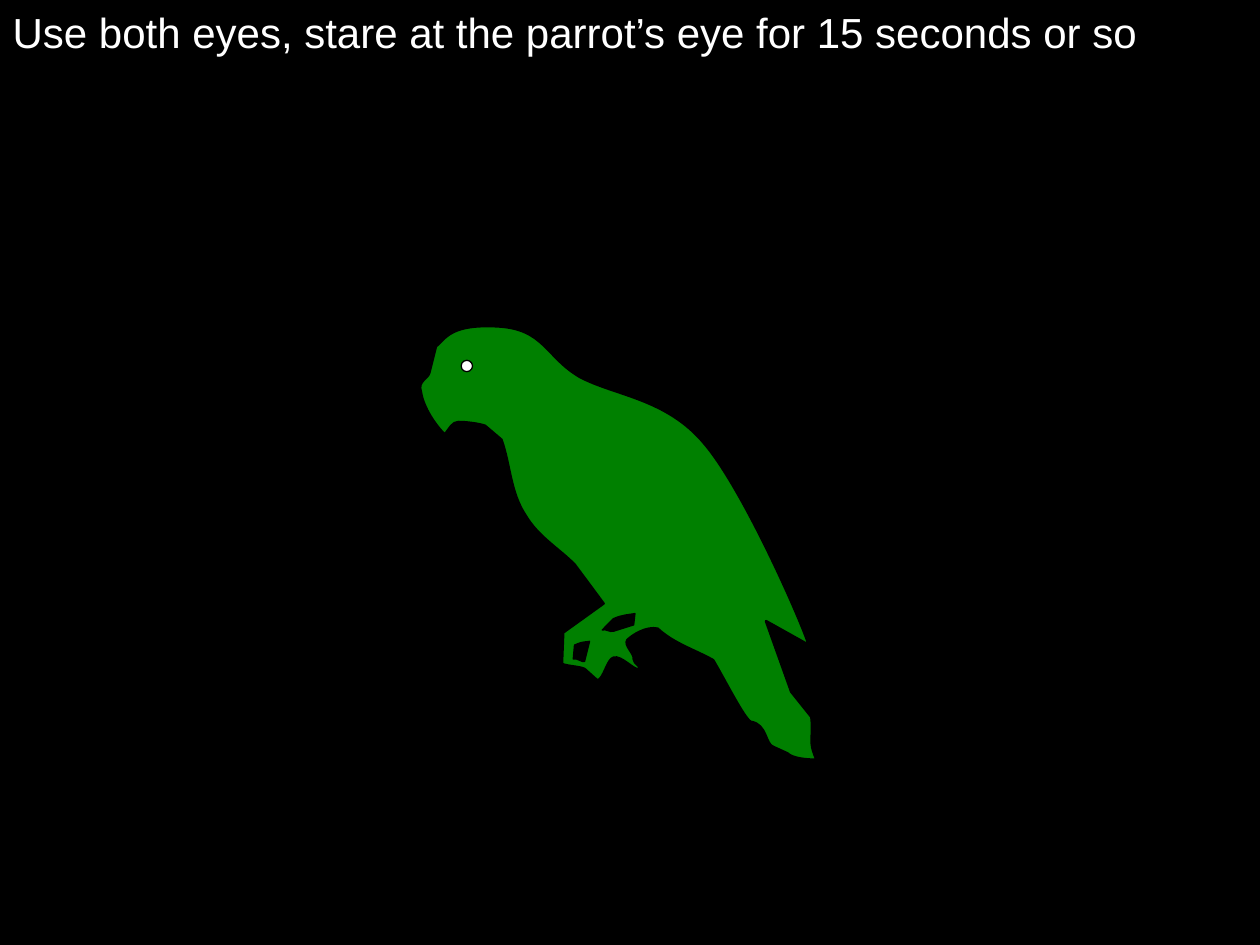
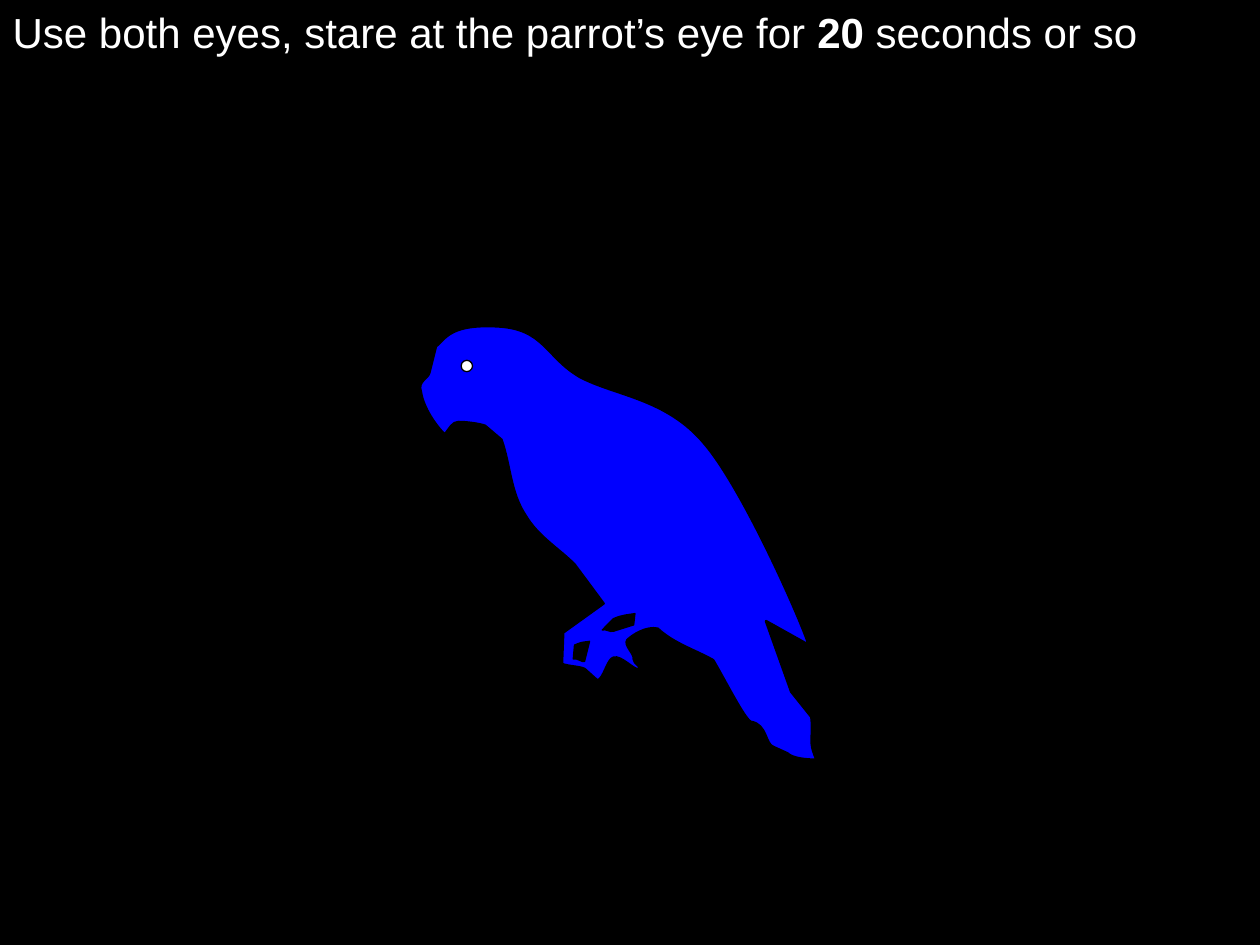
"""Build two afterimage slides, each with a parrot to stare at."""
from lxml import etree
from pptx import Presentation, util as u
from pptx.dml.color import RGBColor
from pptx.enum import shapes, text
from pptx.oxml.ns import qn

PX = 9144
COLOURS = {"night": "000000", "white": "FFFFFF", "green": "008000", "blue": "0000FF"}

BODY = [
    (385, 338), (398, 349), (405, 369, 405, 391, 417, 409),
    (427, 426, 443, 435, 456, 448), (479, 479), (447, 502), (446, 527),
    (451, 529, 460, 529, 464, 531), (474, 540),
    (479, 540, 482, 523, 487, 522), (493, 520, 504, 533, 507, 531),
    (510, 529, 503, 527, 503, 523), (504, 519, 495, 512, 498, 508),
    (502, 504, 513, 497, 522, 499), (535, 511, 552, 516, 566, 524),
    (576, 541, 591, 571, 596, 573), (609, 575, 607, 591, 614, 593),
    (625, 598), (629, 602, 640, 603, 648, 603),
    (641, 586, 646, 588, 644, 569), (628, 549), (608, 493), (642, 512),
    (634, 488, 589, 387, 559, 352), (529, 316, 488, 314, 460, 299),
    (433, 283, 432, 261, 395, 259), (358, 257, 354, 268, 346, 275),
    (341, 295), (340, 301, 331, 302, 334, 311),
    (336, 324, 346, 338, 353, 345), (357, 340, 359, 335, 364, 335),
    (369, 335, 379, 336, 385, 338),
]
LEG_GAP = [(504, 487), (498, 488, 494, 488, 487, 491), (478, 500),
           (481, 499, 484, 502, 487, 501), (503, 496), (504, 487)]
CLAW_GAP = [(468, 509), (462, 510, 463, 509, 456, 512), (455, 523),
            (458, 522, 462, 526, 464, 525), (466, 517), (468, 509)]

SLIDES = [
    ("green", [("Use both eyes, stare at the parrot’s eye for 15 seconds or so", False)]),
    ("blue", [("Use both eyes, stare at the parrot’s eye for ", False),
              ("20", True), (" seconds or so", False)]),
]


def paint(part, colour, line_width):
    part.shadow.inherit = False
    part.fill.solid()
    part.fill.fore_color.rgb = RGBColor.from_string(COLOURS[colour])
    part.line.color.rgb = RGBColor.from_string(COLOURS["night"])
    part.line.width = u.Pt(line_width)


def draw_outline(slide, outline):
    """Draw straight steps (x, y) and Bezier steps (x1, y1, x2, y2, x, y)."""
    ends = [step[-2:] for step in outline]
    left, top = (min(values) for values in zip(*ends))
    builder = slide.shapes.build_freeform(*ends[0], scale=PX)
    builder.add_line_segments(ends[1:], close=True)
    figure = builder.convert_to_shape()
    segments = list(figure.element.iter(qn("a:lnTo")))
    for segment, step in zip(segments, outline[1:]):
        if len(step) == 6:
            curve = etree.Element(qn("a:cubicBezTo"))
            for x, y in zip(step[::2], step[1::2]):
                etree.SubElement(curve, qn("a:pt"), x=str(x - left), y=str(y - top))
            segment.getparent().replace(segment, curve)
    return figure


prs = Presentation()
prs.slide_width, prs.slide_height = 1000 * PX, 750 * PX
night = prs.slide_master.background.fill
night.solid()
night.fore_color.rgb = RGBColor.from_string(COLOURS["night"])

for plumage, instruction in SLIDES:
    slide = prs.slides.add_slide(prs.slide_layouts[5])

    title = slide.shapes.title
    title.left, title.top, title.width, title.height = 0, 0, 913 * PX, 50 * PX
    frame = title.text_frame
    frame.word_wrap = False
    frame.auto_size = text.MSO_AUTO_SIZE.SHAPE_TO_FIT_TEXT
    frame.vertical_anchor = text.MSO_ANCHOR.TOP
    sentence = frame.paragraphs[0]
    sentence.alignment = text.PP_ALIGN.LEFT
    for words, bold in instruction:
        run = sentence.add_run()
        run.text = words
        run.font.name = "Arial"
        run.font.size = u.Pt(24)
        run.font.bold = bold
        run.font.color.rgb = RGBColor.from_string(COLOURS["white"])

    perch = slide.shapes.add_connector(shapes.MSO_CONNECTOR.STRAIGHT,
                                       267 * PX, 226 * PX, 709 * PX, 226 * PX)
    perch.line.color.rgb = RGBColor.from_string(COLOURS["night"])
    perch.line.width = u.Pt(1.5)
    etree.SubElement(perch.element.spPr, qn("a:effectLst"))

    for outline, colour, line_width in [(BODY, plumage, 1.5),
                                        (LEG_GAP, "night", 0.75),
                                        (CLAW_GAP, "night", 0.75)]:
        paint(draw_outline(slide, outline), colour, line_width)

    eye = slide.shapes.add_shape(shapes.MSO_SHAPE.FLOWCHART_CONNECTOR,
                                 366 * PX, 286 * PX, 9 * PX, 9 * PX)
    paint(eye, "white", 0.75)

prs.save("out.pptx")
